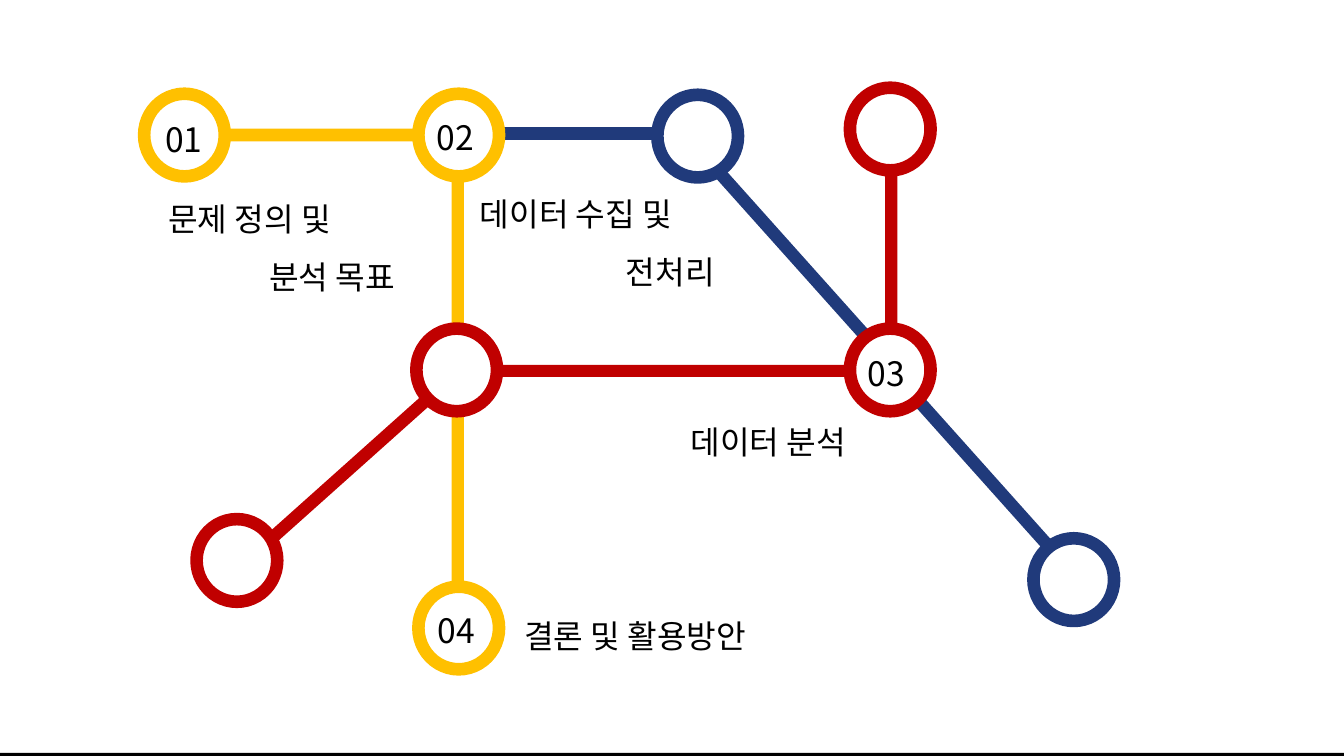
from pptx import Presentation, util as u
from pptx.enum import shapes, text
from pptx.dml.color import RGBColor
from pptx.oxml.ns import qn
from lxml import etree

COLS, ROWS = 133.3, 75
CELL = u.Inches(0.1)
FONT = "Noto Sans CJK KR"
INK = {"gold": "FFC000", "navy": "203A7B", "red": "C00000",
       "white": "FFFFFF", "black": "000000"}
RECT, OVAL = shapes.MSO_SHAPE.RECTANGLE, shapes.MSO_SHAPE.OVAL

deck = Presentation()
deck.slide_width, deck.slide_height = int(COLS * CELL), ROWS * CELL
slide = deck.slides.add_slide(deck.slide_layouts[6])


def draw(kind, mid, size, fill, edge=None, turn=0):
    """Place a shape by its centre, in grid cells."""
    (x, y), (w, h) = mid, size
    box = [int(n * CELL) for n in (x - w / 2, y - h / 2, w, h)]
    shape = slide.shapes.add_shape(kind, *box)
    shape.shadow.inherit = False
    shape.rotation = turn
    shape.fill.solid()
    shape.fill.fore_color.rgb = RGBColor.from_string(INK[fill])
    if edge:
        shape.line.color.rgb = RGBColor.from_string(INK[edge])
        shape.line.width = u.Pt(9)
    else:
        shape.line.fill.background()


def write(spot, lines, size, wrap=True, align="LEFT", space=1.0):
    """Write (words, indent in cells) lines in a box given in grid cells."""
    box = slide.shapes.add_textbox(*[int(n * CELL) for n in spot])
    frame = box.text_frame
    frame.word_wrap = wrap
    for i, (words, dent) in enumerate(lines):
        par = frame.add_paragraph() if i else frame.paragraphs[0]
        par.alignment = getattr(text.PP_ALIGN, align)
        par.line_spacing = space
        if dent:
            par._p.get_or_add_pPr().set("marL", str(int(dent * CELL)))
        run = par.add_run()
        run.text = words
        for key, val in {"name": FONT, "size": u.Pt(size)}.items():
            setattr(run.font, key, val)
        run.font.color.rgb = RGBColor.from_string(INK["black"])
        etree.SubElement(run._r.rPr, qn("a:ea")).set("typeface", FONT)


draw(RECT, (COLS / 2, 74.95), (COLS, 0.5), "black")

# Rails: colour, centre, size, turn
flat, tall = (27.3, 1.25), (1.2, 25.4)
rails = [
    ("navy", (57.85, 13.25), flat, 0),
    ("navy", (97.45, 46.85), flat, 228.2),
    ("gold", (32.45, 13.4), flat, 0),
    ("gold", (45.4, 48.9), tall, 0),
    ("gold", (45.4, 24.7), tall, 0),
    ("red", (66.7, 36.8), (42.4, 1.2), 0),
    ("red", (34.85, 46.35), flat, 318.2),
    ("red", (88.4, 25), tall, 0),
    ("navy", (79.25, 25.95), flat, 228.2),
]
for ink, mid, size, turn in rails:
    draw(RECT, mid, size, ink, turn=turn)

# Stations: colour, centre
stops = [
    ("red", (88.3, 12.8)), ("red", (45.3, 36.7)), ("red", (23.5, 55.6)),
    ("gold", (45.5, 62.3)), ("gold", (18.3, 13.4)), ("navy", (106.5, 57.5)),
    ("navy", (69.2, 13.5)), ("red", (88.3, 36.7)), ("gold", (45.5, 13.4)),
]
for ink, mid in stops:
    draw(OVAL, mid, (8, 8.2), "white", ink)

marks = [("01", 15.4, 11.3), ("02", 42.3, 11.1),
         ("03", 85.1, 34.5), ("04", 42.4, 60)]
for mark, x, y in marks:
    write((x, y, 5.8, 4.9), [(mark, 0)], 24, wrap=False)

# Labels: box, lines, alignment
labels = [
    ((15.7, 17.4, 29.5, 16.5), [("문제 정의 및", 0), ("분석 목표", 10)], "LEFT"),
    ((46.6, 16.9, 29.5, 12.5), [("데이터 수집 및", 0), ("전처리", 14.5)], "LEFT"),
    ((64.5, 39.5, 20.4, 6.7), [("데이터 분석", 0)], "RIGHT"),
    ((51, 58.7, 27.5, 6.7), [("결론 및 활용방안", 0)], "LEFT"),
]
for spot, lines, align in labels:
    write(spot, lines, 23, align=align, space=1.5)

deck.save("out.pptx")
